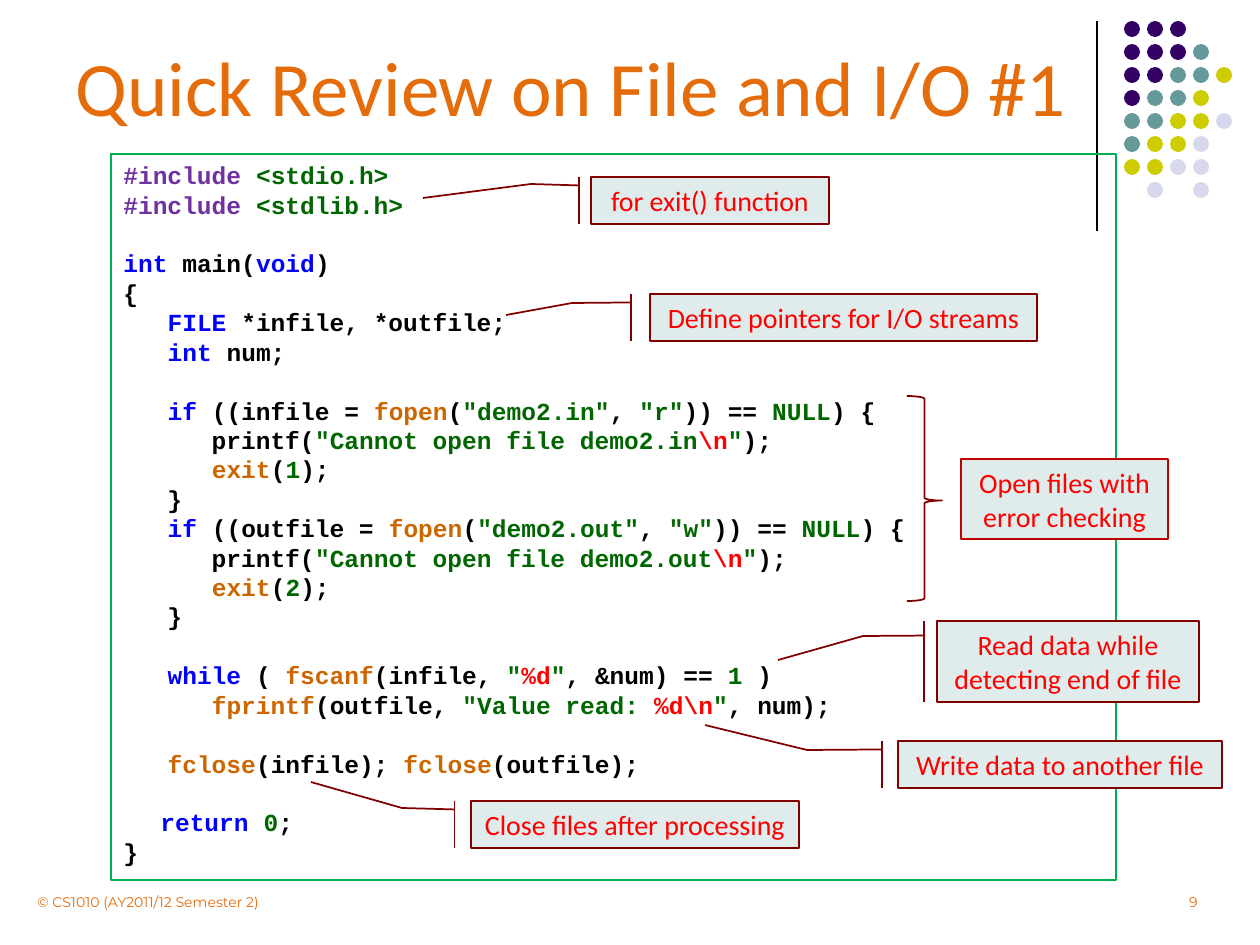
from typing import Iterator, NamedTuple

from lxml.etree import SubElement
from pptx import Presentation
from pptx.dml.color import RGBColor
from pptx.enum.shapes import MSO_CONNECTOR, MSO_SHAPE as Preset
from pptx.enum.text import MSO_ANCHOR as Anchor, MSO_AUTO_SIZE as AutoSize, PP_ALIGN as Align
from pptx.oxml.ns import qn
from pptx.util import Emu, Pt

PX = 914400 / 126
COLORS = {
    "black": "000000", "orange": "E46C0A", "frame": "00B050",
    "note": "E0EBEB", "maroon": "800000", "crimson": "C00000", "red": "FF0000",
}
DOT_COLORS = {"P": "330066", "T": "669999", "Y": "CCCC00", "L": "D8D8EC"}
# Code markup: «x...» colours a piece by its first letter
CODE_COLORS = {
    "d": "7030A0",  # directive
    "k": "0000FF",  # keyword
    "f": "CC6600",  # file function
    "s": "006600",  # string or constant
    "e": "FF0000",  # escape or format
}
DOT_ROWS = ["PPP", "PPPT", "PPTTY", "PTTY", "TTYYL", "TYYL", "YYLL", " L L"]
TAB_STOPS = [37, 73, 112, 149]
CODE_LINE = Pt(16.8)
CODE = r"""«d#include »«s<stdio.h>»
«d#include »«s<stdlib.h>»

«kint» main(«kvoid»)
{
   «kFILE »*infile, *outfile;
   «kint »num;

   «kif »((infile = «ffopen»(«s"demo2.in"», «s"r"»)) == «sNULL») {
      printf(«s"Cannot open file demo2.in»«e\n»«s"»);
      «fexit»(«s1»);
   }
   «kif »((outfile = «ffopen»(«s"demo2.out"», «s"w"»)) == «sNULL») {
      printf(«s"Cannot open file demo2.out»«e\n»«s"»);
      «fexit»(«s2»);
   }

   «kwhile »( «ffscanf»(infile, «s"»«e%d»«s"», &num) == «s1 »)
      «ffprintf»(outfile, «s"Value read: »«e%d\n»«s"», num);

   «ffclose»(infile); «ffclose»(outfile);

	«kreturn »«s0»;
}"""


class Box(NamedTuple):
    left: int
    top: int
    width: int
    height: int


class Callout(NamedTuple):
    text: str
    box: Box
    elbow: tuple[int, int]
    tip: tuple[int, int]


CALLOUTS = [
    Callout("for exit() function", Box(591, 177, 238, 47), (531, 184), (423, 198)),
    Callout("Read data while detecting end of file", Box(937, 621, 262, 81), (863, 636), (778, 660)),
    Callout("Close files after processing", Box(471, 801, 328, 47), (402, 808), (311, 782)),
    Callout("Write data to another file", Box(898, 741, 324, 47), (807, 750), (705, 725)),
    Callout("Define pointers for I/O streams", Box(650, 294, 387, 47), (572, 303), (506, 315)),
]


def px(length: float) -> Emu:
    return Emu(round(length * PX))


def emu(box: Box) -> list[Emu]:
    return [px(length) for length in box]


def rgb(value: str) -> RGBColor:
    return RGBColor.from_string(value)


def style_font(font, name: str, size: float, color: str, bold: bool = False) -> None:
    font.name, font.size, font.bold = name, Pt(size), bold
    font.color.rgb = rgb(color)


def add_preset(slide, preset, box: Box, fill: str = "", line: str = "", weight: float = 1):
    shape = slide.shapes.add_shape(preset, *emu(box))
    shape.shadow.inherit = False
    if fill:
        shape.fill.solid()
        shape.fill.fore_color.rgb = rgb(fill)
    else:
        shape.fill.background()
    if line:
        shape.line.color.rgb = rgb(line)
        shape.line.width = Pt(weight)
    else:
        shape.line.fill.background()
    return shape


def write(shape, text: str, font: str, size: float, color: str, align, anchor) -> None:
    frame = shape.text_frame
    frame.text = text
    frame.word_wrap = True
    frame.auto_size = AutoSize.NONE
    frame.vertical_anchor = anchor
    paragraph = frame.paragraphs[0]
    paragraph.alignment = align
    style_font(paragraph.runs[0].font, font, size, color)


def add_note(slide, preset, text: str, box: Box, line: str):
    shape = add_preset(slide, preset, box, COLORS["note"], line)
    write(shape, text, "Calibri", 16, COLORS["red"], Align.CENTER, Anchor.MIDDLE)
    return shape


def add_callout(slide, callout: Callout) -> None:
    box = callout.box
    shape = add_note(slide, Preset.LINE_CALLOUT_2_BORDER_AND_ACCENT_BAR,
                     callout.text, box, COLORS["maroon"])
    leader = [0.18, -0.05]
    for x, y in (callout.elbow, callout.tip):
        leader += [(y - box.top) / box.height, (x - box.left) / box.width]
    for index, value in enumerate(leader):
        shape.adjustments[index] = value


def code_runs(line: str) -> Iterator[tuple[str, str]]:
    plain, *chunks = line.split("«")
    yield plain, COLORS["black"]
    for chunk in chunks:
        styled, rest = chunk.split("»")
        yield styled[1:], CODE_COLORS[styled[0]]
        yield rest, COLORS["black"]


def add_code(slide, box: Box) -> None:
    shape = add_preset(slide, Preset.RECTANGLE, box, line=COLORS["frame"], weight=0.75)
    frame = shape.text_frame
    frame.word_wrap = True
    frame.vertical_anchor = Anchor.TOP
    paragraph, gap = frame.paragraphs[0], False
    for number, line in enumerate(CODE.split("\n")):
        if not line:
            gap = True
            continue
        if number:
            paragraph = frame.add_paragraph()
        tabs = SubElement(paragraph._p.get_or_add_pPr(), qn("a:tabLst"))
        for stop in TAB_STOPS:
            SubElement(tabs, qn("a:tab"), pos=str(px(stop)), algn="l")
        paragraph.alignment = Align.LEFT
        paragraph.line_spacing = CODE_LINE
        if gap:
            paragraph.space_before = CODE_LINE
        gap = False
        for text, color in code_runs(line):
            if text:
                run = paragraph.add_run()
                run.text = text
                style_font(run.font, "Courier New", 14, color, bold=True)


def add_decoration(slide) -> None:
    rule = slide.shapes.add_connector(MSO_CONNECTOR.STRAIGHT, px(1097), px(21), px(1097), px(231))
    rule.line.color.rgb = rgb(COLORS["black"])
    rule.line.width = Pt(0.75)
    SubElement(rule._element.spPr, qn("a:effectLst"))
    for row, letters in enumerate(DOT_ROWS):
        for column, letter in enumerate(letters):
            if letter != " ":
                box = Box(1124 + 23 * column, 21 + 23 * row, 16, 16)
                add_preset(slide, Preset.OVAL, box, DOT_COLORS[letter])


def add_footer(slide, text: str, box: Box, align) -> None:
    shape = slide.shapes.add_textbox(*emu(box))
    write(shape, text, "Montserrat", 8, COLORS["orange"], align, Anchor.MIDDLE)


def main() -> None:
    presentation = Presentation()
    presentation.slide_width, presentation.slide_height = px(1260), px(945)
    slide = presentation.slides.add_slide(presentation.slide_layouts[5])

    # Title, corner dots and code listing
    title = slide.shapes.title
    title.left, title.top, title.width, title.height = emu(Box(63, 32, 1134, 108))
    write(title, "Quick Review on File and I/O #1", "Calibri", 44, COLORS["orange"],
          Align.LEFT, Anchor.MIDDLE)
    add_decoration(slide)
    add_code(slide, Box(111, 154, 1005, 726))

    # Notes on the code
    for callout in CALLOUTS:
        add_callout(slide, callout)
    brace = add_preset(slide, Preset.RIGHT_BRACE, Box(907, 396, 35, 205), line=COLORS["maroon"])
    brace.adjustments[0], brace.adjustments[1] = 0.08, 0.51
    add_note(slide, Preset.RECTANGLE, "Open files with error checking",
             Box(961, 459, 207, 80), COLORS["crimson"])

    # Footer
    add_footer(slide, "© CS1010 (AY2011/12 Semester 2)", Box(25, 887, 347, 30), Align.LEFT)
    add_footer(slide, "9", Box(1138, 887, 72, 30), Align.RIGHT)
    presentation.save("out.pptx")


if __name__ == "__main__":
    main()
